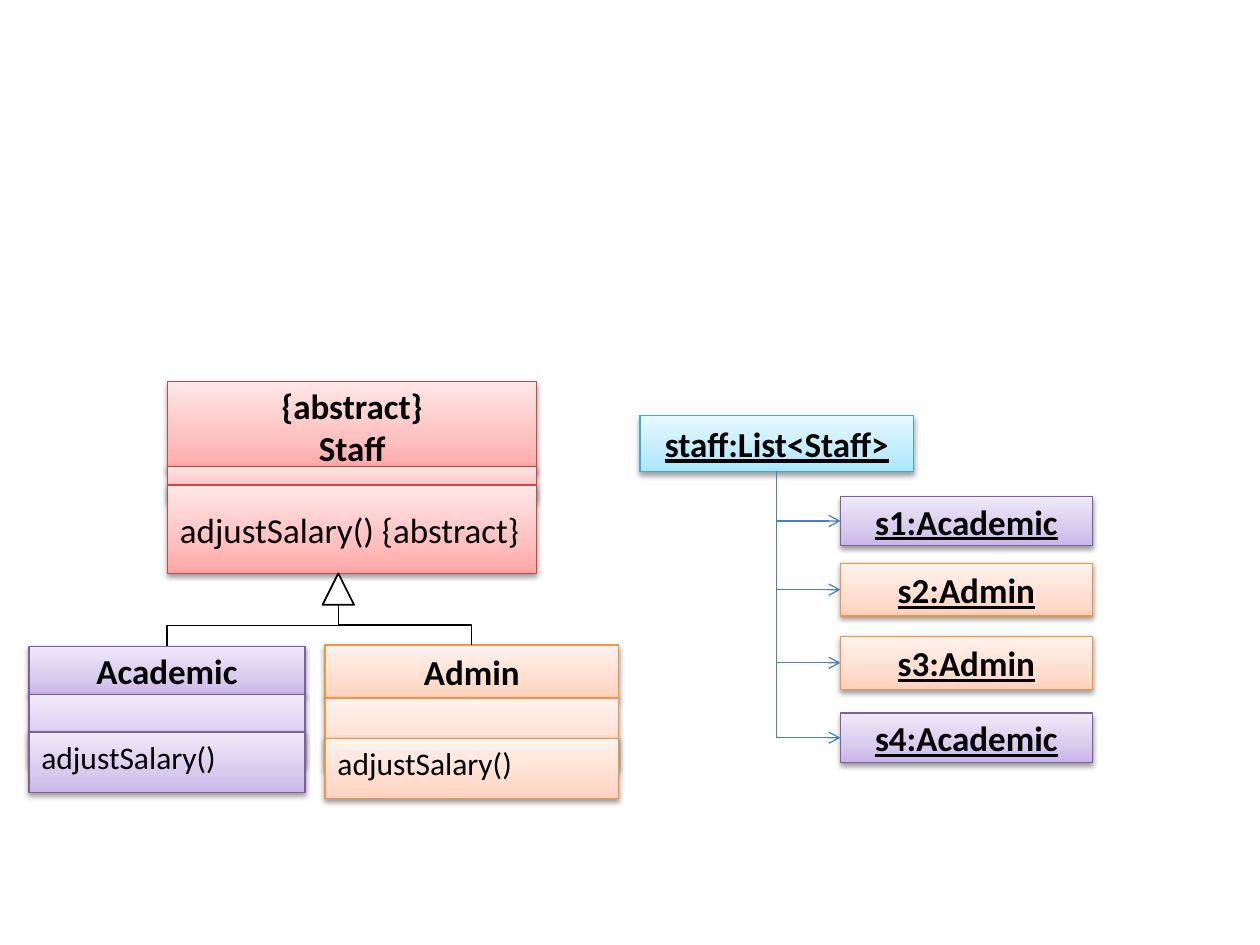
from copy import deepcopy

from lxml.etree import SubElement
from pptx import Presentation
from pptx.dml.color import RGBColor
from pptx.enum.shapes import MSO_CONNECTOR, MSO_SHAPE
from pptx.enum.text import MSO_ANCHOR, PP_ALIGN
from pptx.oxml.ns import qn
from pptx.util import Inches, Pt

COLORS = {
    "red": ("BF4C48", "FFA6A5", "FFC0BF", "FFE7E7"),
    "purple": ("7D60A0", "C9B5E8", "D8CBEE", "F0EAF9"),
    "orange": ("F69240", "FFD2BD", "FFDED0", "FFF2ED"),
    "cyan": ("46AAC5", "A7E6FF", "C1EDFF", "E7F8FF"),
    "arrow": "4B7EBC",
    "black": "000000",
    "white": "FFFFFF",
}
FONT = "Calibri"
BOTTOM, LEFT, TOP = 2, 1, 0


def rgb(value):
    return RGBColor.from_string(value)


def add_glow_box(page, box, palette):
    shape = page.shapes.add_shape(MSO_SHAPE.RECTANGLE, *map(Inches, box))
    line_color, *stop_colors = COLORS[palette]
    shape.fill.gradient()
    shape.fill.gradient_angle = 90
    stop_list = shape.element.spPr.find(".//" + qn("a:gsLst"))
    stop_list.insert(1, deepcopy(stop_list[0]))
    for stop, position, color in zip(shape.fill.gradient_stops, (0, 0.35, 1), stop_colors):
        stop.position = position
        stop.color.rgb = rgb(color)
    shape.line.color.rgb = rgb(line_color)
    shape.line.width = Pt(0.75)
    shape.shadow.inherit = False
    effects = shape.element.spPr.find(qn("a:effectLst"))
    shadow = SubElement(effects, qn("a:outerShdw"), blurRad="40000", dist="20000",
                        dir="5400000", rotWithShape="0")
    shade = SubElement(shadow, qn("a:srgbClr"), val=COLORS["black"])
    SubElement(shade, qn("a:alpha"), val="38000")
    return shape


def write_text(shape, text, size=20, bold=False, underline=False,
               align=PP_ALIGN.CENTER, spacing=None):
    frame = shape.text_frame
    frame.text = text
    frame.word_wrap = True
    frame.vertical_anchor = MSO_ANCHOR.MIDDLE
    for para in frame.paragraphs:
        para.alignment = align
        para.line_spacing = spacing
        for span in para.runs:
            span.font.name = FONT
            span.font.size = Pt(size)
            span.font.bold = bold
            span.font.underline = underline
            span.font.color.rgb = rgb(COLORS["black"])


def add_class(page, box, palette, name, operation, rows, size, spacing=None):
    left, top, width = box
    parts = [add_glow_box(page, (left, top + offset, width, height), palette)
             for offset, height in rows]
    write_text(parts[0], name, bold=True)
    write_text(parts[2], operation, size, align=PP_ALIGN.LEFT, spacing=spacing)
    return parts[0]


def add_object(page, box, palette, name):
    shape = add_glow_box(page, box, palette)
    write_text(shape, name, bold=True, underline=True)
    return shape


def add_elbow(page, start, start_site, end, end_site, color, preset, rotation, flips):
    connector = page.shapes.add_connector(MSO_CONNECTOR.ELBOW, 0, 0, 0, 0)
    connector.begin_connect(start, start_site)
    connector.end_connect(end, end_site)
    begin_x, begin_y = connector.begin_x, connector.begin_y
    end_x, end_y = connector.end_x, connector.end_y
    width, height = abs(end_y - begin_y), abs(end_x - begin_x)
    connector.left = (begin_x + end_x - width) // 2
    connector.top = (begin_y + end_y - height) // 2
    connector.width, connector.height = width, height
    properties = connector.element.spPr
    frame = properties.find(qn("a:xfrm"))
    frame.set("rot", str(rotation * 60000))
    frame.set("flipH", str(int("h" in flips)))
    frame.set("flipV", str(int("v" in flips)))
    properties.find(qn("a:prstGeom")).set("prst", preset)
    connector.line.color.rgb = rgb(color)
    connector.line.width = Pt(0.75)
    SubElement(properties, qn("a:effectLst"))
    return connector


def add_class_diagram(page, left, top):
    child_top = top + 2.09
    academic = add_class(page, (left, child_top + 0.01, 2.19), "purple", "Academic",
                         "adjustSalary()", ((0, 0.39), (0.38, 0.57), (0.68, 0.48)), 18, 0.6)
    admin = add_class(page, (left + 2.35, child_top, 2.33), "orange", "Admin",
                      "adjustSalary()", ((0, 0.42), (0.42, 0.57), (0.74, 0.48)), 18, 0.6)
    add_class(page, (left + 1.1, top, 2.93), "red", "{abstract}\nStaff",
              "adjustSalary() {abstract}", ((0, 0.71), (0.67, 0.27), (0.82, 0.7)), 20)
    triangle = page.shapes.add_shape(MSO_SHAPE.FLOWCHART_EXTRACT, Inches(left + 2.33),
                                     Inches(top + 1.52), Inches(0.25), Inches(0.25))
    triangle.fill.solid()
    triangle.fill.fore_color.rgb = rgb(COLORS["white"])
    triangle.line.color.rgb = rgb(COLORS["black"])
    triangle.line.width = Pt(1)
    triangle.shadow.inherit = False
    for child, rotation, flips in ((academic, 90, "hv"), (admin, 270, "v")):
        add_elbow(page, child, TOP, triangle, BOTTOM, COLORS["black"],
                  "bentConnector3", rotation, flips)


def add_object_diagram(page, left, top):
    staff_list = add_object(page, (left, top, 2.17, 0.44), "cyan", "staff:List<Staff>")
    members = (
        ("s1:Academic", "purple", 0.64, 0.39),
        ("s2:Admin", "orange", 1.17, 0.42),
        ("s3:Admin", "orange", 1.75, 0.42),
        ("s4:Academic", "purple", 2.36, 0.39),
    )
    for name, palette, offset, height in members:
        member = add_object(page, (left + 1.59, top + offset, 2, height), palette, name)
        connector = add_elbow(page, staff_list, BOTTOM, member, LEFT, COLORS["arrow"],
                              "bentConnector2", 270, "h")
        line = connector.element.spPr.find(qn("a:ln"))
        SubElement(line, qn("a:tailEnd"), type="arrow")


def main():
    deck = Presentation()
    deck.slide_width, deck.slide_height = Inches(10), Inches(7.5)
    page = deck.slides.add_slide(deck.slide_layouts[6])
    add_class_diagram(page, 0.23, 3.03)
    add_object_diagram(page, 5.08, 3.3)
    deck.save("out.pptx")


if __name__ == "__main__":
    main()
